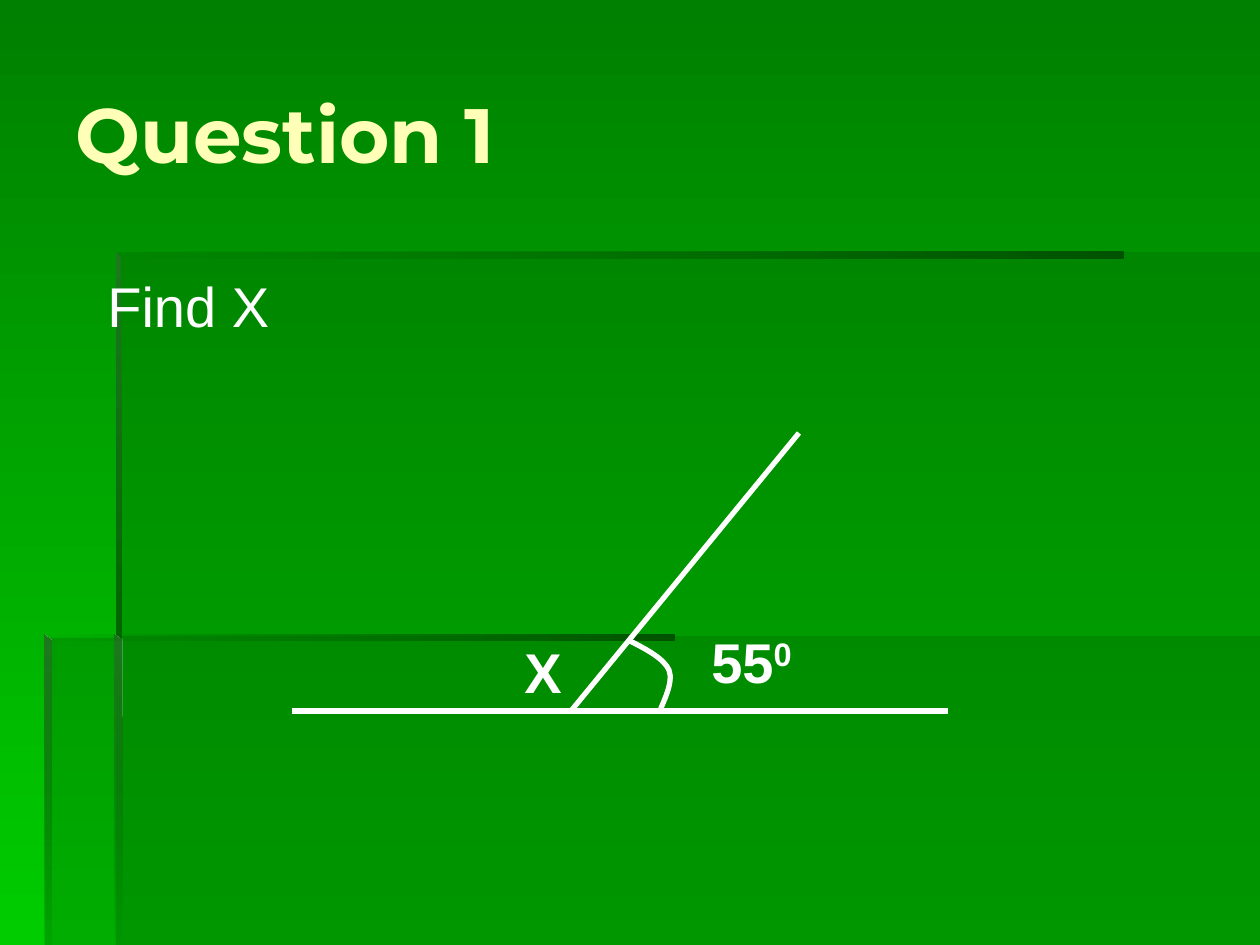
from dataclasses import dataclass

import pptx
import pptx.dml.fill
import pptx.enum.shapes
import pptx.enum.text
import pptx.oxml
import pptx.oxml.ns
import pptx.shapes.autoshape
import pptx.slide
import pptx.util
from pptx.dml.color import RGBColor

EMU_PER_PX = 914400 / 126
SLIDE_WIDTH, SLIDE_HEIGHT = 1260, 945

BACKGROUND_TOP = RGBColor(0x00, 0x80, 0x00)
BACKGROUND_BOTTOM = RGBColor(0x00, 0xCC, 0x00)
PANEL_GREEN = RGBColor(0x00, 0x66, 0x00)
EDGE_DARK = RGBColor(0x00, 0x53, 0x00)
EDGE_LIGHT = RGBColor(0x1E, 0x78, 0x1E)
CREAM = RGBColor(0xFF, 0xFF, 0xB7)
WHITE = RGBColor(0xFF, 0xFF, 0xFF)

DOWNWARD, LEFTWARD = 270, 180
Point = tuple[int, int]


@dataclass(frozen=True)
class Panel:
    points: tuple[Point, ...]


@dataclass(frozen=True)
class Edge:
    points: tuple[Point, ...]
    start_color: RGBColor
    angle: int
    end_opacity: int = 0


@dataclass(frozen=True)
class Label:
    runs: tuple[str, ...]
    left: int
    top: int
    width: int
    height: int
    size: int = 32
    font: str = "Arial"
    color: RGBColor = WHITE
    bold: bool = True
    space_before: int = 20
    middle: bool = False
    grows: bool = False


PANELS = (
    Panel(((116, 636), (116, 945), (1260, 945), (1260, 636))),
    Panel(((118, 638), (45, 638), (45, 945), (1260, 945), (1260, 252), (118, 252))),
)
EDGES = (
    Edge(((116, 252), (116, 259), (1124, 259), (1124, 252)), EDGE_DARK, LEFTWARD),
    Edge(((116, 252), (116, 643), (122, 643), (121, 257)), EDGE_LIGHT, DOWNWARD, 100),
    Edge(((115, 945), (122, 945), (121, 640), (115, 635)), EDGE_LIGHT, DOWNWARD),
    Edge(((44, 635), (44, 641), (674, 641), (674, 635)), EDGE_DARK, LEFTWARD),
    Edge(((44, 635), (44, 945), (51, 945), (51, 641)), EDGE_LIGHT, DOWNWARD, 10),
)
TITLE = Label(("Question 1",), 63, 34, 1155, 198, 44, "Montserrat", CREAM,
              space_before=0, middle=True)
ANGLE_LABEL = Label(("55", "0"), 699, 621, 129, 81, grows=True)
PROMPT = Label(("Find X",), 95, 265, 1104, 577, bold=False)
UNKNOWN_LABEL = Label(("X",), 512, 631, 100, 81, grows=True)

RAYS = (((292, 711), (948, 711)), ((571, 711), (799, 433)))
ARC = ((630, 641), (648, 650), (664, 659), (669, 670),
       (674, 683), (662, 704), (660, 711))


def px(length: int) -> pptx.util.Emu:
    return pptx.util.Emu(round(length * EMU_PER_PX))


def set_opacity(color_element, percent: int) -> None:
    alpha = pptx.oxml.parse_xml(
        f'<a:alpha {pptx.oxml.ns.nsdecls("a")} val="{percent * 1000}"/>')
    color_element.append(alpha)


def set_gradient(fill: pptx.dml.fill.FillFormat, start: RGBColor,
                 end: RGBColor, angle: int) -> None:
    fill.gradient()
    fill.gradient_angle = angle
    for stop, color, position in zip(fill.gradient_stops, (start, end), (0, 1)):
        stop.color.rgb = color
        stop.position = position


def add_outline(slide: pptx.slide.Slide, points: tuple[Point, ...],
                close: bool = True) -> pptx.shapes.autoshape.Shape:
    corners = [(px(x), px(y)) for x, y in points]
    builder = slide.shapes.build_freeform(*corners[0], scale=1.0)
    builder.add_line_segments(corners[1:], close=close)
    shape = builder.convert_to_shape()
    shape.shadow.inherit = False
    return shape


def add_panel(slide: pptx.slide.Slide, panel: Panel) -> None:
    shape = add_outline(slide, panel.points)
    shape.line.fill.background()
    shape.fill.solid()
    shape.fill.fore_color.rgb = PANEL_GREEN
    color = next(shape.element.spPr.iter(pptx.oxml.ns.qn("a:srgbClr")))
    set_opacity(color, 30)


def add_edge(slide: pptx.slide.Slide, edge: Edge) -> None:
    shape = add_outline(slide, edge.points)
    shape.line.fill.background()
    set_gradient(shape.fill, edge.start_color, PANEL_GREEN, edge.angle)
    colors = list(shape.element.spPr.iter(pptx.oxml.ns.qn("a:srgbClr")))
    set_opacity(colors[1], edge.end_opacity)


def add_ray(slide: pptx.slide.Slide, start: Point, end: Point) -> None:
    connector = slide.shapes.add_connector(
        pptx.enum.shapes.MSO_CONNECTOR.STRAIGHT, *map(px, start + end))
    connector.line.color.rgb = WHITE
    connector.line.width = pptx.util.Pt(3)
    connector.element.spPr.append(
        pptx.oxml.parse_xml(f'<a:effectLst {pptx.oxml.ns.nsdecls("a")}/>'))


def add_curve(slide: pptx.slide.Slide, points: tuple[Point, ...]) -> None:
    shape = add_outline(slide, points, close=False)
    shape.fill.background()
    shape.line.color.rgb = WHITE
    shape.line.width = pptx.util.Pt(3)
    segments = list(shape.element.spPr.iter(pptx.oxml.ns.qn("a:lnTo")))
    for index in range(0, len(segments), 3):
        curve = pptx.oxml.parse_xml(f'<a:cubicBezTo {pptx.oxml.ns.nsdecls("a")}/>')
        segments[index].addprevious(curve)
        for segment in segments[index:index + 3]:
            curve.append(segment[0])
            segment.getparent().remove(segment)


def add_label(slide: pptx.slide.Slide, label: Label) -> None:
    box = slide.shapes.add_textbox(
        *map(px, (label.left, label.top, label.width, label.height)))
    frame = box.text_frame
    frame.word_wrap = True
    if label.middle:
        frame.vertical_anchor = pptx.enum.text.MSO_ANCHOR.MIDDLE
    if label.grows:
        frame.auto_size = pptx.enum.text.MSO_AUTO_SIZE.SHAPE_TO_FIT_TEXT
    paragraph = frame.paragraphs[0]
    for index, text in enumerate(label.runs):
        run = paragraph.add_run()
        run.text = text
        run.font.size = pptx.util.Pt(label.size)
        run.font.name = label.font
        run.font.bold = label.bold
        run.font.color.rgb = label.color
        if index:
            run.font._element.set("baseline", "30000")
    if label.space_before:
        paragraph._p.get_or_add_pPr().append(pptx.oxml.parse_xml(
            f'<a:spcBef {pptx.oxml.ns.nsdecls("a")}>'
            f'<a:spcPct val="{label.space_before * 1000}"/></a:spcBef>'))


def main() -> None:
    presentation = pptx.Presentation()
    presentation.slide_width = px(SLIDE_WIDTH)
    presentation.slide_height = px(SLIDE_HEIGHT)
    slide = presentation.slides.add_slide(presentation.slide_layouts[6])
    set_gradient(slide.background.fill, BACKGROUND_TOP, BACKGROUND_BOTTOM, DOWNWARD)
    for panel in PANELS:
        add_panel(slide, panel)
    for edge in EDGES:
        add_edge(slide, edge)
    add_label(slide, TITLE)
    for start, end in RAYS:
        add_ray(slide, start, end)
    add_curve(slide, ARC)
    for label in (ANGLE_LABEL, PROMPT, UNKNOWN_LABEL):
        add_label(slide, label)
    presentation.save("out.pptx")


if __name__ == "__main__":
    main()
